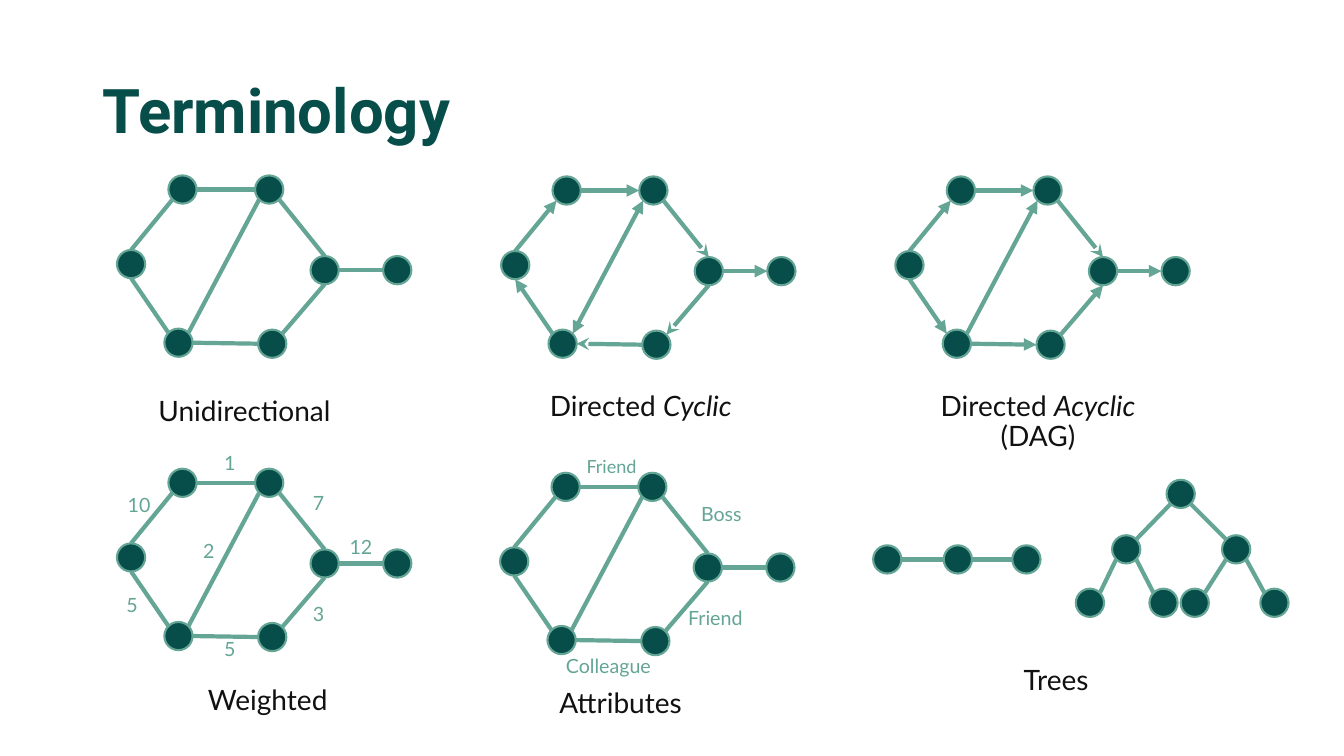
from lxml import etree
from pptx import Presentation
from pptx.dml.color import RGBColor
from pptx.enum.shapes import MSO_CONNECTOR, MSO_SHAPE
from pptx.enum.text import MSO_ANCHOR, PP_ALIGN
from pptx.oxml.ns import qn
from pptx.util import Pt

PX = 9144  # 100 px to the inch
NODE = 28
DARK_GREEN = RGBColor(0x07, 0x4D, 0x49)
LIGHT_GREEN = RGBColor(0x64, 0xA5, 0x95)
INK = RGBColor(0x11, 0x11, 0x11)
ELLIPSE = MSO_SHAPE.OVAL
STRAIGHT = MSO_CONNECTOR.STRAIGHT
CENTER, LEFT = PP_ALIGN.CENTER, PP_ALIGN.LEFT
TOP, MIDDLE = MSO_ANCHOR.TOP, MSO_ANCHOR.MIDDLE

# Points on a node's rim where edges attach, from its top left corner
RIM = {"n": (14, 0), "ne": (24, 4), "e": (28, 14), "se": (24, 24),
       "s": (14, 28), "sw": (4, 24), "w": (0, 14), "nw": (4, 4)}

HEXAGON_NODES = {"top left": (51, 0), "left": (0, 74), "bottom left": (47, 152),
                 "bottom right": (140, 153), "right": (192, 80),
                 "top right": (137, 0), "tip": (264, 80)}
HEXAGON_EDGES = [("top left", "e", "top right", "w"),
                 ("top left", "sw", "left", "n"),
                 ("bottom left", "e", "bottom right", "w"),
                 ("bottom right", "ne", "right", "s"),
                 ("left", "s", "bottom left", "nw"),
                 ("bottom left", "ne", "top right", "sw"),
                 ("right", "n", "top right", "se"),
                 ("tip", "w", "right", "e")]

CHAIN_NODES = {"first": (0, 0), "second": (70, 0), "third": (138, 0)}
CHAIN_EDGES = [("third", "w", "second", "e"), ("second", "w", "first", "e")]

TREE_NODES = {"root": (90, 0), "left": (36, 55), "right": (145, 55),
              "leaf 1": (0, 108), "leaf 2": (73, 108),
              "leaf 3": (104, 108), "leaf 4": (183, 108)}
TREE_EDGES = [("right", "nw", "root", "se"), ("root", "sw", "left", "ne"),
              ("leaf 2", "nw", "left", "se"), ("left", "sw", "leaf 1", "ne"),
              ("leaf 4", "nw", "right", "se"), ("right", "sw", "leaf 3", "ne")]

# Arrowheads at the start and end of each edge, in edge order
PLAIN = [(None, None)] * 8
AT_START, AT_END = ("triangle", None), (None, "triangle")
BARBED = ("stealth", None)
CYCLIC = [AT_END, AT_START, BARBED, BARBED, AT_START,
          ("triangle", "triangle"), BARBED, AT_START]
ACYCLIC = [AT_END, AT_START, AT_END, AT_END, AT_END, AT_END, BARBED, AT_START]

GRAPHS = [(116, 174, HEXAGON_NODES, HEXAGON_EDGES, PLAIN),
          (497, 175, HEXAGON_NODES, HEXAGON_EDGES, CYCLIC),
          (888, 175, HEXAGON_NODES, HEXAGON_EDGES, ACYCLIC),
          (116, 465, HEXAGON_NODES, HEXAGON_EDGES, PLAIN),
          (496, 469, HEXAGON_NODES, HEXAGON_EDGES, PLAIN),
          (866, 541, CHAIN_NODES, CHAIN_EDGES, PLAIN),
          (1067, 476, TREE_NODES, TREE_EDGES, PLAIN)]

# Words between underscores are italic
CAPTIONS = [("Unidirectional", 104, 389, 68), ("Directed _Cyclic_", 497, 384, 68),
            ("Directed _Acyclic _(DAG)", 891, 384, 106), ("Weighted", 127, 676, 68),
            ("Attributes", 477, 679, 68), ("Trees", 909, 656, 56)]

WEIGHTS = [("1", 198, 445), ("7", 286, 485), ("12", 328, 528), ("3", 286, 595),
           ("2", 177, 532), ("10", 108, 487), ("5", 101, 586), ("5", 198, 630)]

RELATIONS = [("Friend", 570, 449, 73, 12.9), ("Boss", 678, 496, 75, 14),
             ("Friend", 665, 599, 89, 14), ("Colleague", 548, 646, 111, 14)]

deck = Presentation()
deck.slide_width, deck.slide_height = 1333 * PX, 750 * PX
page = deck.slides.add_slide(deck.slide_layouts[6])


def add_text(text, left, top, width, height, *, size, color, font="Lato",
             bold=False, align=CENTER, anchor=TOP, before=10):
    box = page.shapes.add_textbox(left * PX, top * PX, width * PX, height * PX)
    frame = box.text_frame
    frame.word_wrap = True
    frame.vertical_anchor = anchor
    para = frame.paragraphs[0]
    para.alignment = align
    para.line_spacing = 0.9
    para.space_before = Pt(before)
    for index, part in enumerate(text.split("_")):
        if part:
            span = para.add_run()
            span.text = part
            span.font.name = font
            span.font.size = Pt(size)
            span.font.bold = bold
            span.font.italic = index % 2 == 1
            span.font.color.rgb = color


def add_graph(left, top, nodes, edges, arrows):
    for x, y in nodes.values():
        node = page.shapes.add_shape(ELLIPSE, (left + x) * PX, (top + y) * PX,
                                     NODE * PX, NODE * PX)
        node.shadow.inherit = False
        node.fill.solid()
        node.fill.fore_color.rgb = DARK_GREEN
        node.line.color.rgb = LIGHT_GREEN
        node.line.width = Pt(1.5)
    for (start, start_side, end, end_side), heads in zip(edges, arrows):
        points = []
        for name, side in ((start, start_side), (end, end_side)):
            points.append((left + nodes[name][0] + RIM[side][0]) * PX)
            points.append((top + nodes[name][1] + RIM[side][1]) * PX)
        edge = page.shapes.add_connector(STRAIGHT, *points)
        edge.line.color.rgb = LIGHT_GREEN
        edge.line.width = Pt(3)
        properties = edge._element.spPr
        outline = properties.find(qn("a:ln"))
        for tag, head in zip(("a:headEnd", "a:tailEnd"), heads):
            if head:
                etree.SubElement(outline, qn(tag), type=head)
        etree.SubElement(properties, qn("a:effectLst"))


add_text("Terminology", 92, 40, 1150, 145, size=44, color=DARK_GREEN, font="Roboto",
         bold=True, align=LEFT, anchor=MIDDLE, before=0)

for graph in GRAPHS:
    add_graph(*graph)

for caption, left, top, height in CAPTIONS:
    add_text(caption, left, top, 277, height, size=20, color=INK)

for weight, left, top in WEIGHTS:
    add_text(weight, left, top, 60, 48, size=14, color=LIGHT_GREEN)

for relation, left, top, width, size in RELATIONS:
    add_text(relation, left, top, width, 48, size=size, color=LIGHT_GREEN)

deck.save("out.pptx")
